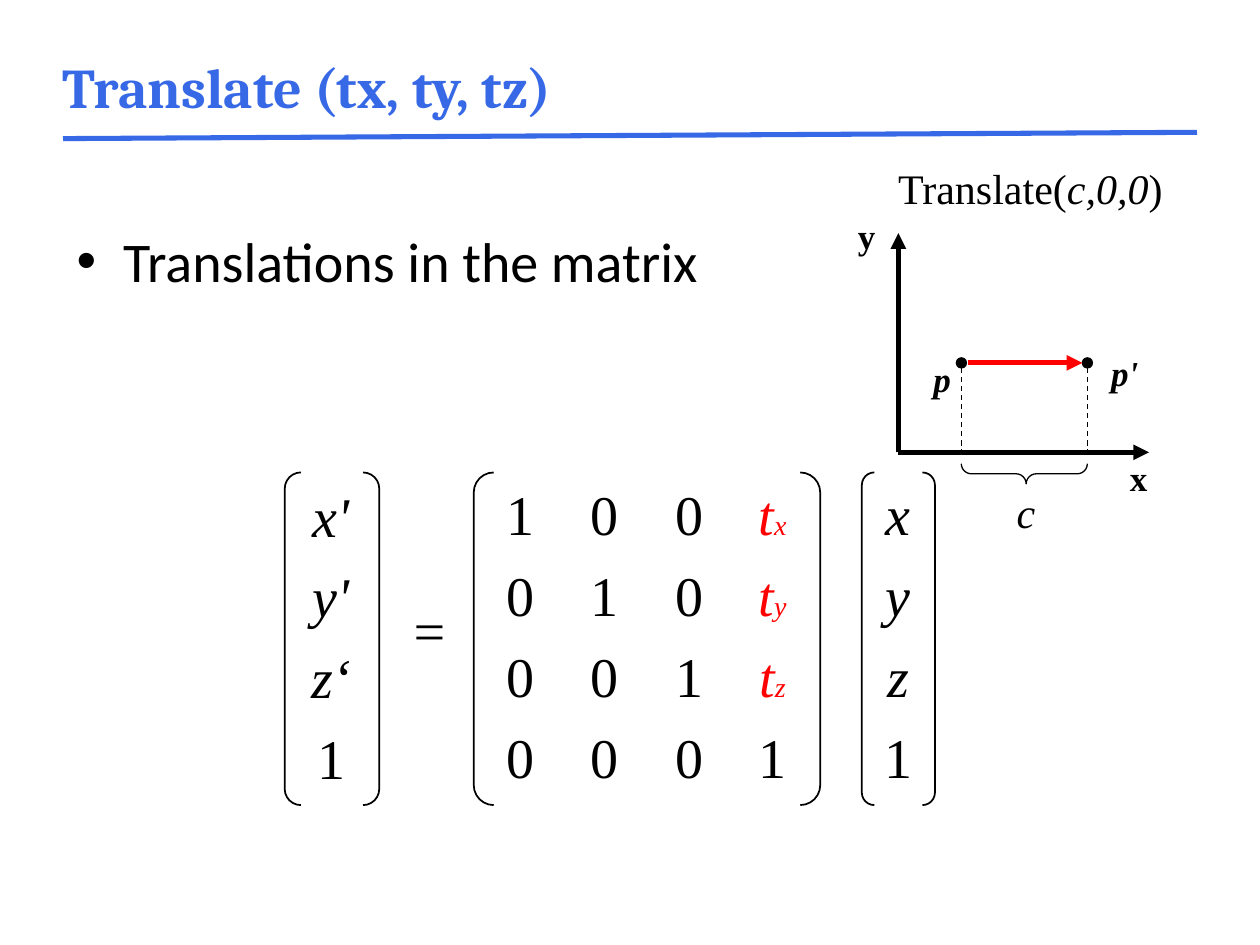
from dataclasses import dataclass

from lxml import etree
from pptx import Presentation
from pptx.dml.color import RGBColor
from pptx.enum.dml import MSO_LINE
from pptx.enum.shapes import MSO_CONNECTOR, MSO_SHAPE
from pptx.enum.text import MSO_ANCHOR, MSO_AUTO_SIZE, PP_ALIGN
from pptx.oxml.ns import qn
from pptx.util import Inches, Pt

BRACKETS, BRACE, DOT = MSO_SHAPE.DOUBLE_BRACKET, MSO_SHAPE.LEFT_BRACE, MSO_SHAPE.OVAL
STRAIGHT = MSO_CONNECTOR.STRAIGHT
DASH = MSO_LINE.DASH
CENTER, LEFT = PP_ALIGN.CENTER, PP_ALIGN.LEFT
MIDDLE, TOP = MSO_ANCHOR.MIDDLE, MSO_ANCHOR.TOP
GROW, FIXED = MSO_AUTO_SIZE.SHAPE_TO_FIT_TEXT, MSO_AUTO_SIZE.NONE

BLACK, RED, BLUE = "000000", "FF0000", "3769E6"
SERIF = "Times New Roman"
MATRIX_SPACE = 7.7


@dataclass
class Run:
    text: str
    size: float = 32
    color: str = BLACK
    bold: bool = False
    italic: bool = False
    font: str = SERIF


@dataclass
class Column:
    left: float
    top: float
    cells: list[list[Run]]


@dataclass
class Bracket:
    left: float
    width: float
    adj: float


@dataclass
class Label:
    left: float
    top: float
    width: float
    height: float
    runs: list[Run]


@dataclass
class Line:
    start: tuple[float, float]
    end: tuple[float, float]
    width: float
    color: str = BLACK
    arrow: bool = False
    dashed: bool = False


def rgb(color: str) -> RGBColor:
    return RGBColor.from_string(color)


def add_text(s, left: float, top: float, width: float, height: float,
             lines: list[list[Run]], inset: bool = True, align=LEFT,
             anchor=TOP, space: float = 0):
    sp = s.shapes.add_textbox(Inches(left), Inches(top), Inches(width), Inches(height))
    tf = sp.text_frame
    tf.word_wrap = True
    tf.auto_size = GROW
    tf.vertical_anchor = anchor
    if not inset:
        tf.margin_left = tf.margin_top = tf.margin_right = tf.margin_bottom = 0
    for i, runs in enumerate(lines):
        p = tf.add_paragraph() if i else tf.paragraphs[0]
        p.alignment = align
        p.space_before = Pt(space)
        for run in runs:
            r = p.add_run()
            r.text = run.text
            r.font.name, r.font.size = run.font, Pt(run.size)
            r.font.bold, r.font.italic = run.bold, run.italic
            r.font.color.rgb = rgb(run.color)
    return sp


def add_bullet(p, char: str) -> None:
    pPr = p._p.get_or_add_pPr()
    pPr.set("marL", str(Inches(0.38)))
    pPr.set("indent", str(Inches(-0.37)))
    etree.SubElement(pPr, qn("a:buFont"), typeface="Arial")
    etree.SubElement(pPr, qn("a:buChar"), char=char)


def add_shape(s, kind, left: float, top: float, width: float, height: float,
              line: float, adj: tuple = (), fill: str = ""):
    sp = s.shapes.add_shape(kind, Inches(left), Inches(top), Inches(width), Inches(height))
    sp.shadow.inherit = False
    if fill:
        sp.fill.solid()
        sp.fill.fore_color.rgb = rgb(fill)
    else:
        sp.fill.background()
    sp.line.color.rgb = rgb(BLACK)
    sp.line.width = Pt(line)
    for i, value in enumerate(adj):
        sp.adjustments[i] = value
    return sp


def add_line(s, line: Line) -> None:
    cx = s.shapes.add_connector(STRAIGHT, *map(Inches, line.start + line.end))
    cx.line.color.rgb = rgb(line.color)
    cx.line.width = Pt(line.width)
    if line.dashed:
        cx.line.dash_style = DASH
    if line.arrow:
        ln = cx._element.spPr.find(qn("a:ln"))
        etree.SubElement(ln, qn("a:tailEnd"), type="triangle")
    etree.SubElement(cx._element.spPr, qn("a:effectLst"))


def vector(names: list[str]) -> list[list[Run]]:
    return [[Run(name, italic=True)] for name in names] + [[Run("1")]]


def main() -> None:
    prs = Presentation()
    prs.slide_width, prs.slide_height = Inches(10), Inches(7.5)
    s = prs.slides.add_slide(prs.slide_layouts[6])

    # Heading and bullet
    add_line(s, Line((0.5, 1.1), (9.5, 1.05), 2.89, BLUE))
    add_text(s, 0.5, 0.06, 8.5, 1.25,
             [[Run("Translate (tx, ty, tz)", color=BLUE, bold=True, font="Cambria")]],
             inset=False, anchor=MIDDLE)
    body = add_text(s, 0.5, 1.75, 9, 4.95,
                    [[Run("Translations in the matrix", font="Calibri")]], space=6.4)
    body.text_frame.auto_size = FIXED
    add_bullet(body.text_frame.paragraphs[0], "•")

    # Matrix equation
    for b in (Bracket(2.26, 0.75, 0.171), Bracket(3.76, 2.75, 0.06),
              Bracket(6.84, 0.58, 0.171)):
        add_shape(s, BRACKETS, b.left, 3.75, b.width, 2.64, 1, (b.adj,))
    identity = [Column(3.84 + 0.67 * j, 3.81,
                       [[Run("1" if i == j else "0")] for i in range(4)])
                for j in range(3)]
    offsets = [[Run("t", color=RED, italic=True), Run(axis, 16, RED, italic=True)]
               for axis in "xyz"]
    columns = [Column(2.34, 3.82, vector(["x'", "y'", "z‘"])),
               *identity,
               Column(5.84, 3.81, offsets + [[Run("1")]]),
               Column(6.84, 3.81, vector(["x", "y", "z"]))]
    for col in columns:
        add_text(s, col.left, col.top, 0.58, 2.46, col.cells, inset=False,
                 align=CENTER, space=MATRIX_SPACE)
    add_text(s, 3.26, 4.73, 0.33, 0.53, [[Run("=", italic=True)]], inset=False,
             space=MATRIX_SPACE)

    # Axes, points and translation arrow
    origin = (7.13, 3.59)
    add_line(s, Line(origin, (7.13, 1.85), 3, arrow=True))
    add_line(s, Line(origin, (9.12, 3.59), 3, arrow=True))
    for x in (7.59, 8.59):
        add_shape(s, DOT, x, 2.84, 0.08, 0.08, 0.75, fill=BLACK)
        add_line(s, Line((x + 0.04, 2.85), (x + 0.04, 3.59), 0.75, dashed=True))
    add_line(s, Line((7.68, 2.88), (8.59, 2.88), 3, RED, arrow=True))
    brace = add_shape(s, BRACE, 8.05, 3.26, 0.16, 1, 0.75, (0.504, 0.515))
    brace.rotation = 270

    # Diagram labels
    labels = [
        Label(7.03, 1.24, 2.59, 0.5,
              [Run("Translate(", 24), Run("c,0,0", 24, italic=True), Run(")", 24)]),
        Label(8.87, 3.57, 0.33, 0.43, [Run("x", 20, bold=True)]),
        Label(6.71, 1.65, 0.33, 0.43, [Run("y", 20, bold=True)]),
        Label(7.31, 2.79, 0.33, 0.43, [Run("p", 20, bold=True, italic=True)]),
        Label(8.72, 2.74, 0.5, 0.43, [Run("p'", 20, bold=True, italic=True)]),
        Label(7.97, 3.81, 0.5, 0.5, [Run("c", 24, italic=True)]),
    ]
    for lb in labels:
        add_text(s, lb.left, lb.top, lb.width, lb.height, [lb.runs])

    prs.save("out.pptx")


if __name__ == "__main__":
    main()
